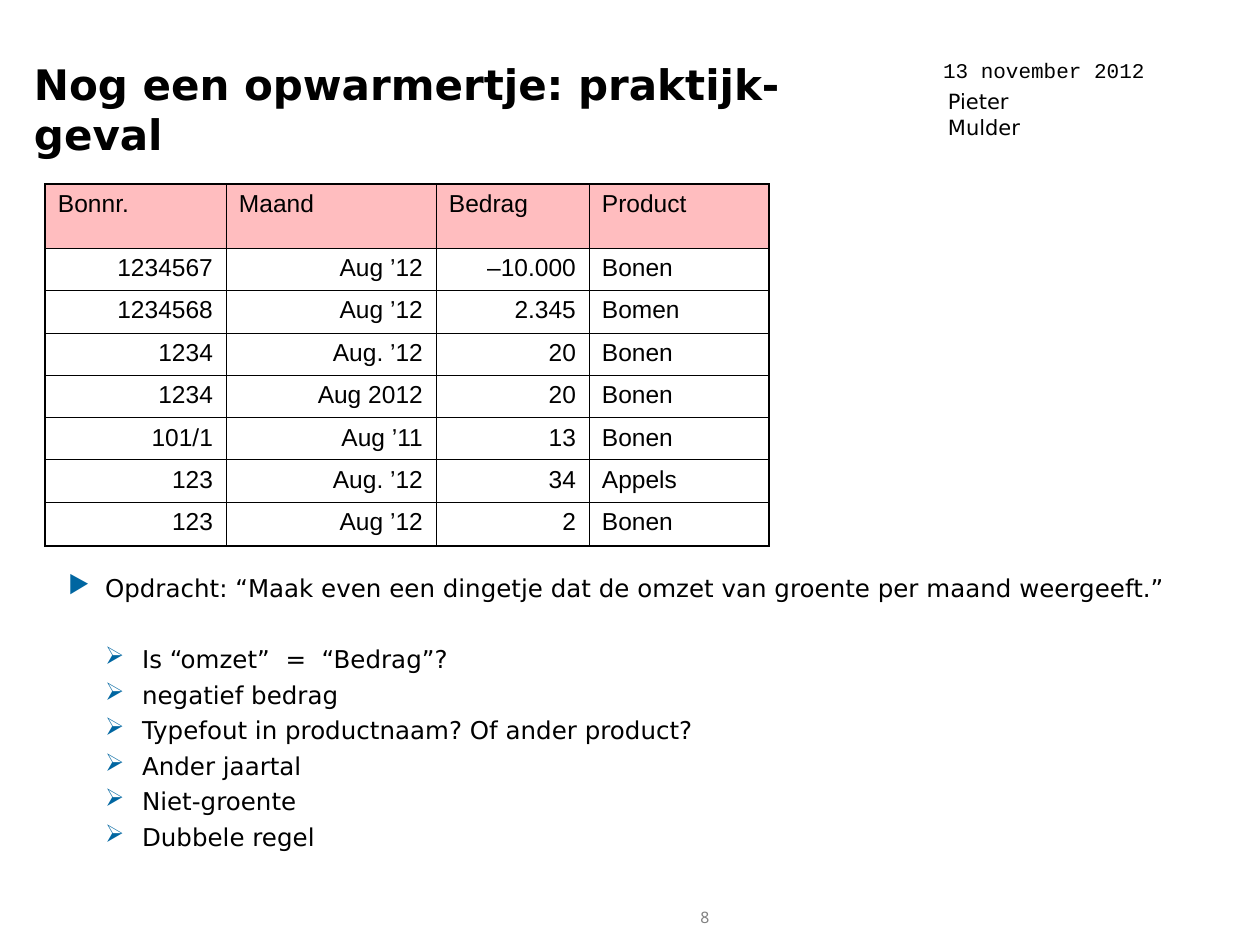
from dataclasses import dataclass
from lxml.etree import SubElement as Sub
from pptx import Presentation
from pptx.dml.color import RGBColor
from pptx.enum.text import MSO_ANCHOR as Anchor, PP_ALIGN as Align
from pptx.oxml.ns import qn
from pptx.util import Emu, Pt

BLACK, BLUE, PINK, GREY = "000000", "0066A1", "FF7C80", "818181"
SANS = "DejaVu Sans"
THICK, THIN = 1.08, 0.45


@dataclass
class Box:
    x: int
    y: int
    w: int
    h: int


@dataclass
class Point:
    text: str
    mark: str = "➢"
    left: int = 74
    gap: float = 3.5


def px(n: int) -> Emu:
    return Emu(round(n * 914400 / 126))


def color(code: str) -> RGBColor:
    return RGBColor.from_string(code)


def write(para, text: str, size=14, font=SANS, ink=BLACK, bold=False,
          align=Align.LEFT, gap=0) -> None:
    para.alignment = align
    para.space_before = Pt(gap)
    run = para.add_run()
    run.text = text
    run.font.size = Pt(size)
    run.font.name = font
    run.font.bold = bold
    run.font.color.rgb = color(ink)


def frame(slide, box: Box, anchor=Anchor.TOP):
    area = slide.shapes.add_textbox(px(box.x), px(box.y), px(box.w), px(box.h))
    text = area.text_frame
    text.word_wrap = True
    text.vertical_anchor = anchor
    text.margin_left = text.margin_right = px(13)
    text.margin_top = text.margin_bottom = px(6)
    return text


def bullet(para, point: Point) -> None:
    props = para._p.get_or_add_pPr()
    props.set("marL", str(px(point.left)))
    props.set("indent", str(-px(37)))
    tint = Sub(props, qn("a:buClr"))
    Sub(tint, qn("a:srgbClr"), val=BLUE)
    Sub(props, qn("a:buChar"), char=point.mark)


def border(cell, side: str, width: float, spot: int) -> None:
    props = cell._tc.get_or_add_tcPr()
    line = Sub(props, qn(f"a:ln{side}"), w=str(Pt(width)))
    fill = Sub(line, qn("a:solidFill"))
    Sub(fill, qn("a:srgbClr"), val=BLACK)
    props.insert(spot, line)


def grid(slide, box: Box, cols: list[int], rows: list[int],
         data: list[list[str]]) -> None:
    shape = slide.shapes.add_table(len(rows), len(cols), px(box.x), px(box.y),
                                   px(box.w), px(box.h))
    table = shape.table
    table.first_row = table.horz_banding = False
    for col, width in zip(table.columns, cols):
        col.width = px(width)
    for row, height in zip(table.rows, rows):
        row.height = px(height)
    end, last = len(cols) - 1, len(rows) - 1
    for r, line in enumerate(data):
        for c, text in enumerate(line):
            cell = table.cell(r, c)
            cell.margin_left = cell.margin_right = px(13)
            cell.margin_top = cell.margin_bottom = px(6)
            if r == 0:
                cell.fill.solid()
                cell.fill.fore_color.rgb = color(PINK)
                tint = cell._tc.tcPr.find(".//" + qn("a:srgbClr"))
                Sub(tint, qn("a:alpha"), val="50000")
            else:
                cell.fill.background()
            edges = {"L": c == 0, "R": c == end, "T": r == 0, "B": r == last}
            for spot, (side, outer) in enumerate(edges.items()):
                border(cell, side, THICK if outer else THIN, spot)
            align = Align.RIGHT if r and c < end else Align.LEFT
            write(cell.text_frame.paragraphs[0], text, font="Arial",
                  align=align)


DATA = [
    ["Bonnr.", "Maand", "Bedrag", "Product"],
    ["1234567", "Aug ’12", "–10.000", "Bonen"],
    ["1234568", "Aug ’12", "2.345", "Bomen"],
    ["1234", "Aug. ’12", "20", "Bonen"],
    ["1234", "Aug 2012", "20", "Bonen"],
    ["101/1", "Aug ’11", "13", "Bonen"],
    ["123", "Aug. ’12", "34", "Appels"],
    ["123", "Aug ’12", "2", "Bonen"],
]
POINTS = [
    Point("Opdracht: “Maak even een dingetje dat de omzet van groente "
          "per maand weergeeft.”", mark="▶", left=37),
    Point("Is “omzet”  =  “Bedrag”?", gap=23.8),
    Point("negatief bedrag"),
    Point("Typefout in productnaam? Of ander product?"),
    Point("Ander jaartal"),
    Point("Niet-groente"),
    Point("Dubbele regel"),
]


def main() -> None:
    deck = Presentation()
    deck.slide_width, deck.slide_height = px(1260), px(945)
    slide = deck.slides.add_slide(deck.slide_layouts[6])

    foot = frame(slide, Box(662, 900, 86, 35), Anchor.MIDDLE)
    write(foot.paragraphs[0], "8", size=9, font="Noto Sans", ink=GREY,
          align=Align.CENTER, gap=4.6)
    date = frame(slide, Box(930, 52, 295, 38))
    write(date.paragraphs[0], "13 november 2012", size=12, font="Courier New")
    name = frame(slide, Box(935, 83, 110, 38))
    write(name.paragraphs[0], "Pieter Mulder", size=12)
    title = frame(slide, Box(21, 52, 852, 105))
    write(title.paragraphs[0], "Nog een opwarmertje: praktijk-geval", size=24,
          bold=True)

    body = frame(slide, Box(55, 567, 1167, 307))
    for i, point in enumerate(POINTS):
        para = body.add_paragraph() if i else body.paragraphs[0]
        para.level = 1 if i else 0
        write(para, point.text, gap=point.gap)
        bullet(para, point)

    tops = [298 * i // 7 for i in range(8)]
    rows = [64] + [low - top for top, low in zip(tops, tops[1:])]
    cols = [181, 210, 153, 180]
    grid(slide, Box(45, 184, sum(cols), sum(rows)), cols, rows, DATA)
    deck.save("out.pptx")


if __name__ == "__main__":
    main()
